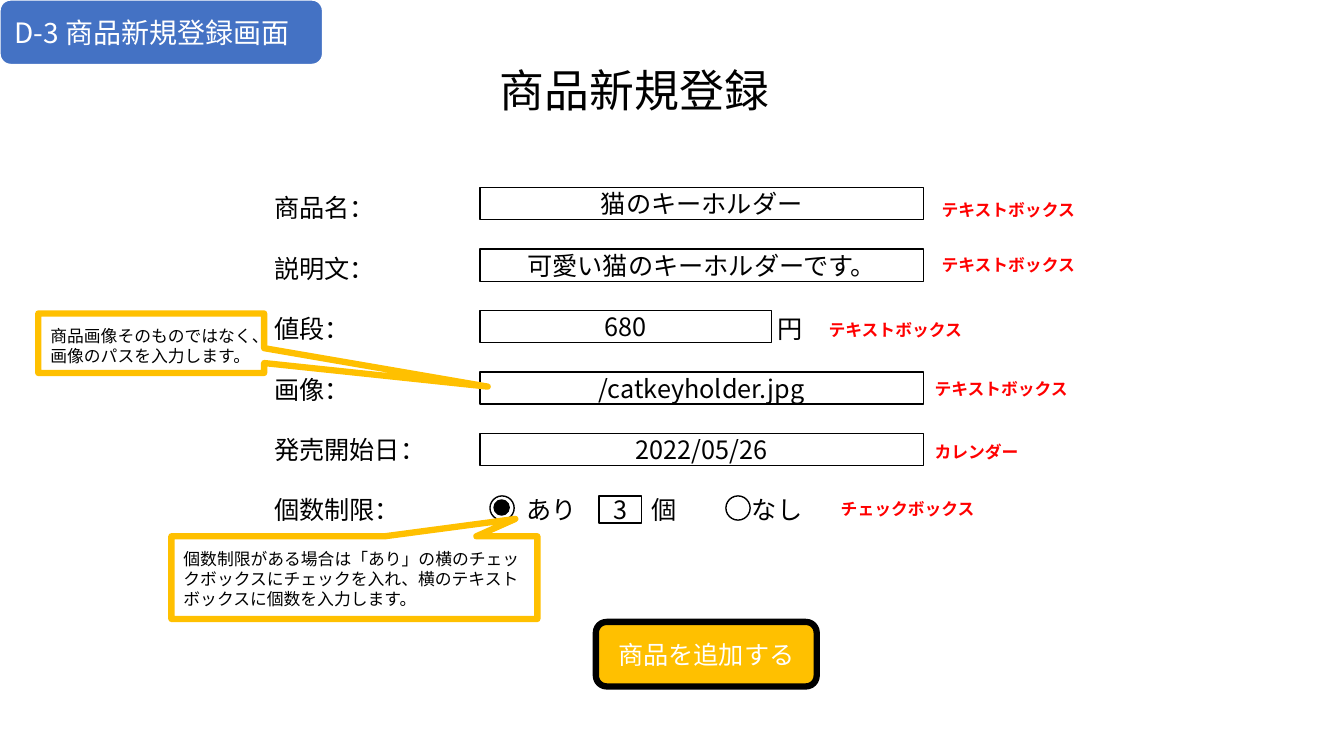
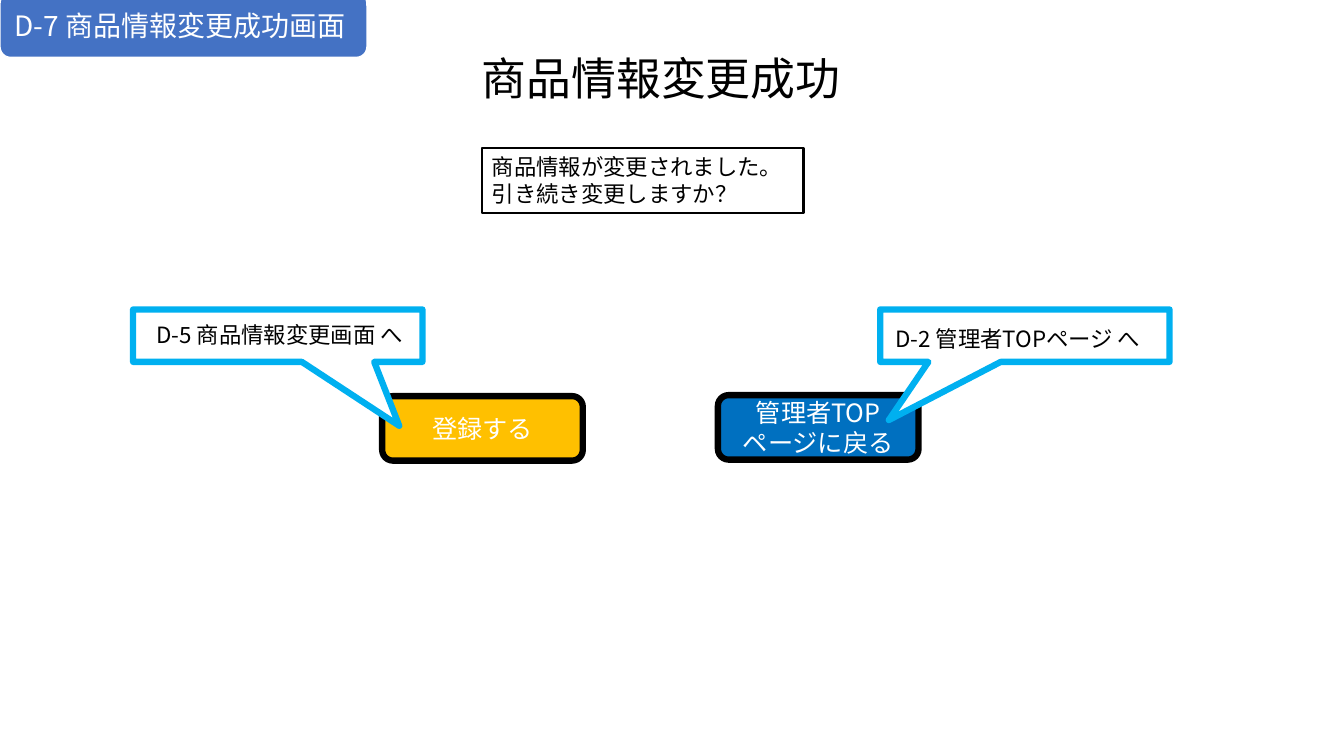
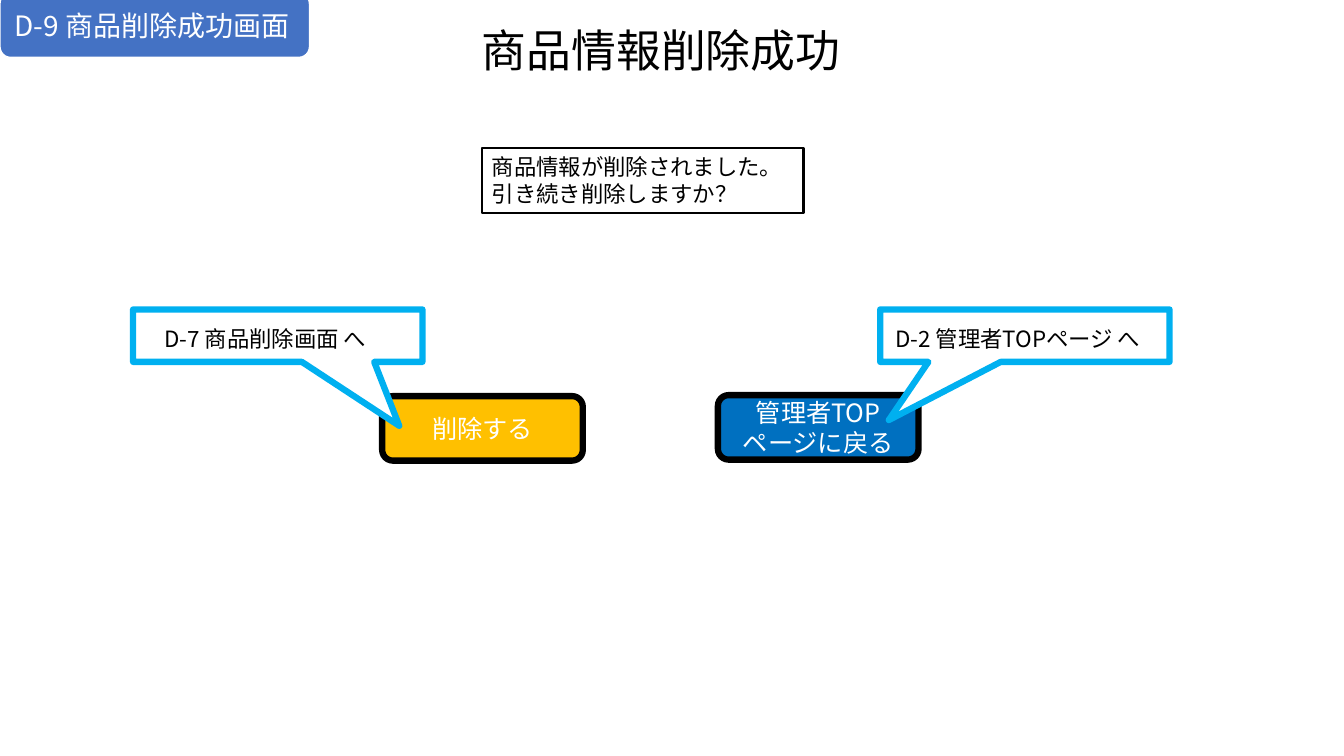
from pptx import Presentation
from pptx.dml.color import RGBColor
from pptx.enum.shapes import MSO_SHAPE as Geo
from pptx.enum.text import MSO_ANCHOR as Anc, PP_ALIGN as Al
from pptx.util import Inches, Pt
from lxml.etree import SubElement as Sub
from pptx.oxml.ns import qn

FONT = "Noto Sans CJK JP"
BLACK, WHITE, RED = "000000", "FFFFFF", "FF0000"
BLUE, GOLD, SKY, NAVY = "4472C4", "FFC000", "00B0F0", "0070C0"
PAD = (0.1, 0.05, 0.1, 0.05)

LEFT, TOP = 2.62, 1.86
STEP, PITCH = 0.6, 0.61
COL, WIDE = 4.76, 4.4

LABELS = ["商品名：", "説明文：", "値段：", "画像：", "発売開始日：", "個数制限："]
UNITS = [("円", 7.61, 2), ("あり", 5.12, 5), ("個", 6.36, 5), ("なし", 7.36, 5)]
FIELDS = [
    ("猫のキーホルダー", WIDE),
    ("可愛い猫のキーホルダーです。", WIDE),
    ("680", 2.89),
    ("/catkeyholder.jpg", WIDE),
    ("2022/05/26", WIDE),
]
DOTS = [(4.86, 4.92, 0.24, WHITE), (4.9, 4.96, 0.15, BLACK), (7.2, 4.92, 0.24, WHITE)]
TAGS = [
    ("テキストボックス", 9.24, 1.93),
    ("テキストボックス", 9.24, 2.48),
    ("テキストボックス", 8.12, 3.12),
    ("テキストボックス", 9.17, 3.71),
    ("カレンダー", 9.17, 4.33),
    ("チェックボックス", 8.24, 4.9),
]
NOTES = [
    ("商品画像そのものではなく、画像のパスを入力します。",
     (0.38, 3.11, 2.24, 0.59), (1.49, 0.73)),
    ("個数制限がある場合は「あり」の横のチェックボックスにチェックを入れ、"
     "横のテキストボックスに個数を入力します。",
     (1.7, 5.32, 3.63, 0.82), (0.44, -0.71)),
]
DONE = [
    dict(tab="D-7 商品情報変更成功画面", wide=3.64, title="商品情報変更成功", top=0.45,
         lines="商品情報が変更されました。\n引き続き変更しますか？",
         act="登録する", link="D-5 商品情報変更画面 へ", pad=(0.23, 0.12, 0, 0)),
    dict(tab="D-9 商品削除成功画面", wide=3.07, title="商品情報削除成功", top=0.18,
         lines="商品情報が削除されました。\n引き続き削除しますか？",
         act="削除する", link="D-7 商品削除画面 へ", pad=(0.31, 0.16, 0, 0)),
]


def rgb(code):
    return RGBColor.from_string(code)


def write(shape, text, size, color=BLACK, al=Al.LEFT, anc=Anc.TOP, pad=PAD,
          bold=False, wrap=True):
    frame = shape.text_frame
    frame.text = text
    frame.word_wrap = wrap
    frame.vertical_anchor = anc
    (frame.margin_left, frame.margin_top,
     frame.margin_right, frame.margin_bottom) = map(Inches, pad)
    for para in frame.paragraphs:
        para.alignment = al
        para.line_spacing = Pt(size * 1.2)
        for run in para.runs:
            font = run.font
            font.size, font.bold, font.name = Pt(size), bold, FONT
            font.color.rgb = rgb(color)
            Sub(font._element, qn("a:ea")).set("typeface", FONT)


def label(slide, text, x, y, w, h, size, **look):
    box = slide.shapes.add_textbox(*map(Inches, (x, y, w, h)))
    write(box, text, size, **look)


def draw(slide, geo, at, fill=None, line=BLACK, pt=1, adj=()):
    shape = slide.shapes.add_shape(geo, *map(Inches, at))
    shape.shadow.inherit = False
    if fill:
        shape.fill.solid()
        shape.fill.fore_color.rgb = rgb(fill)
    else:
        shape.fill.background()
    shape.line.color.rgb = rgb(line)
    shape.line.width = Pt(pt)
    for i, val in enumerate(adj):
        shape.adjustments[i] = val
    return shape


def field(slide, text, *at):
    write(draw(slide, Geo.RECTANGLE, at, WHITE), text, 18,
          al=Al.CENTER, anc=Anc.MIDDLE, pad=(0.1, 0, 0.1, 0))


def button(slide, text, at, fill):
    write(draw(slide, Geo.FLOWCHART_ALTERNATE_PROCESS, at, fill, pt=4.5), text, 18,
          WHITE, Al.CENTER, Anc.MIDDLE, (0.1, 0, 0.1, 0))


def callout(slide, text, at, adj, line, size, pad):
    shape = draw(slide, Geo.RECTANGULAR_CALLOUT, at, WHITE, line, 4.5, adj)
    write(shape, text, size, pad=pad)


def start(deck, tab, wide, y, title, x, top):
    slide = deck.slides.add_slide(deck.slide_layouts[6])
    shape = draw(slide, Geo.ROUNDED_RECTANGLE, (0, y, wide, 0.64), BLUE, WHITE)
    write(shape, tab, 20, WHITE, anc=Anc.MIDDLE, pad=(0.11, 0, 0, 0))
    label(slide, title, x, top, 3.98, 0.64, 32)
    return slide


def form(deck):
    slide = start(deck, "D-3 商品新規登録画面", 3.2, 0, "商品新規登録", 4.86, 0.57)
    for i, text in enumerate(LABELS):
        label(slide, text, LEFT, TOP + i * STEP, 2, 0.4, 18)
    for text, x, row in UNITS:
        label(slide, text, x, TOP + row * STEP, 0.8, 0.4, 18)
    for i, (text, wide) in enumerate(FIELDS):
        field(slide, text, COL, TOP + i * PITCH, wide, 0.32)
    field(slide, "3", 5.94, 4.92, 0.42, 0.27)
    for x, y, size, fill in DOTS:
        draw(slide, Geo.OVAL, (x, y, size, size), fill)
    for text, at, adj in NOTES:
        callout(slide, text, at, adj, GOLD, 12, (0.12, 0.12, 0.1, 0))
    for text, x, y in TAGS:
        label(slide, text, x, y, 1.69, 0.3, 12, color=RED, bold=True)
    button(slide, "商品を追加する", (5.91, 6.17, 2.19, 0.64), GOLD)


def done(deck, tab, wide, title, top, lines, act, link, pad):
    slide = start(deck, tab, wide, -0.07, title, 4.68, top)
    write(draw(slide, Geo.RECTANGLE, (4.78, 1.47, 3.19, 0.64), pt=1.5), lines, 16)
    button(slide, "管理者TOPページに戻る", (7.12, 3.92, 1.99, 0.64), NAVY)
    button(slide, act, (3.79, 3.93, 1.99, 0.64), GOLD)
    callout(slide, "D-2 管理者TOPページ へ", (8.73, 3.07, 2.87, 0.52),
            (-0.47, 1.61), SKY, 16, (0.15, 0.16, 0, 0))
    callout(slide, link, (1.32, 3.07, 2.87, 0.52), (0.42, 1.72), SKY, 16, pad)


def main():
    deck = Presentation()
    deck.slide_width, deck.slide_height = Inches(13.33), Inches(7.5)
    form(deck)
    for page in DONE:
        done(deck, **page)
    deck.save("out.pptx")


if __name__ == "__main__":
    main()
